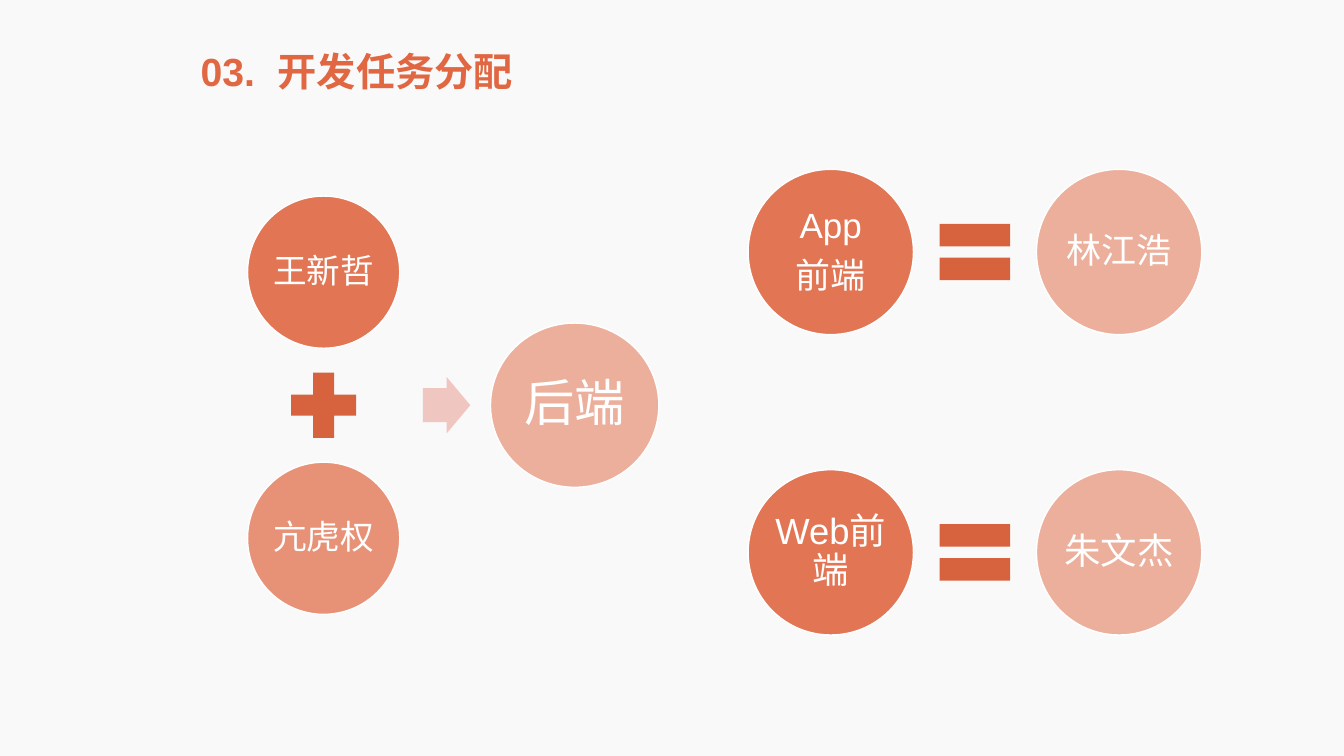
from lxml.etree import SubElement
from pptx import Presentation
from pptx.dml.color import RGBColor
from pptx.enum.shapes import MSO_SHAPE as Shape
from pptx.enum.text import MSO_ANCHOR as Anchor, MSO_AUTO_SIZE as AutoSize, PP_ALIGN as Align
from pptx.oxml.ns import qn
from pptx.util import Inches, Pt

NUMBER, TITLE = "03.", "开发任务分配"
BACKEND_MEMBERS = [("王新哲", 90), ("亢虎权", 70)]
BACKEND = "后端"
FRONTENDS = [("App\n前端", "林江浩", 25), ("Web前端", "朱文杰", 26)]


class Theme:
    font = "Arial"
    background = RGBColor.from_string("F9F9F9")
    accent = RGBColor.from_string("E06741")
    sign = RGBColor.from_string("D6623E")
    arrow = RGBColor.from_string("F0C7C0")
    white = RGBColor.from_string("FFFFFF")
    title_size, member_size, backend_size = 28, 24, 36


SLIDE_WIDTH, SLIDE_HEIGHT = 13.33, 7.5
HEADING_TOP, HEADING_HEIGHT = 0.42, 0.57
MEMBER_X, ARROW_X, BACKEND_X = 3.21, 4.43, 5.7
MIDDLE_Y, MEMBER_PITCH = 4.02, 1.32
FRONTEND_X, FRONTEND_PITCH = 8.24, 1.43
FRONTEND_Y, FRONTEND_ROW = 2.5, 2.98
MEMBER_DIAMETER, FRONTEND_DIAMETER = 1.51, 1.64


def set_all(target, values):
    for name, value in values.items():
        setattr(target, name, value)


def write(frame, text, size, color, bold, align, frame_format):
    set_all(frame, frame_format)
    frame.text = text
    for index, paragraph in enumerate(frame.paragraphs):
        paragraph.alignment = align
        paragraph.space_before = Pt(9 if index else 0)
        set_all(paragraph.font, {"name": Theme.font, "size": Pt(size), "bold": bold})
        paragraph.font.color.rgb = color


def add_centred(slide, kind, x, y, width, height, color):
    shape = slide.shapes.add_shape(kind, Inches(x - width / 2), Inches(y - height / 2),
                                   Inches(width), Inches(height))
    shape.shadow.inherit = False
    shape.fill.solid()
    shape.fill.fore_color.rgb = color
    shape.line.fill.background()
    return shape


def add_circle(slide, text, x, y, width, height, opacity, size):
    circle = add_centred(slide, Shape.OVAL, x, y, width, height, Theme.accent)
    fill_color = circle.fill._xPr.find(qn("a:solidFill"))[0]
    SubElement(fill_color, qn("a:alpha"), val=str(opacity * 1000))
    circle.line.color.rgb = Theme.white
    circle.line.width = Pt(1)
    margins = {f"margin_{side}": Inches(0.02) for side in ("left", "top", "right", "bottom")}
    write(circle.text_frame, text, size, Theme.white, False, Align.CENTER,
          {"word_wrap": True, "vertical_anchor": Anchor.MIDDLE, **margins})
    for paragraph in circle.text_frame.paragraphs:
        paragraph.line_spacing = 0.9


def add_heading(slide):
    number = slide.shapes.add_textbox(0, 0, 0, 0)
    headings = [(slide.shapes.title, TITLE, 2.64, 2.56, Align.CENTER),
                (number, NUMBER, 1.89, 0.75, Align.LEFT)]
    for shape, text, left, width, align in headings:
        set_all(shape, {"left": Inches(left), "top": Inches(HEADING_TOP),
                        "width": Inches(width), "height": Inches(HEADING_HEIGHT)})
        write(shape.text_frame, text, Theme.title_size, Theme.accent, True, align,
              {"word_wrap": False, "auto_size": AutoSize.SHAPE_TO_FIT_TEXT,
               "vertical_anchor": Anchor.TOP})


def add_backend_team(slide):
    for (name, opacity), side in zip(BACKEND_MEMBERS, (-1, 1)):
        add_circle(slide, name, MEMBER_X, MIDDLE_Y + side * MEMBER_PITCH,
                   MEMBER_DIAMETER, MEMBER_DIAMETER, opacity, Theme.member_size)
    add_centred(slide, Shape.MATH_PLUS, MEMBER_X, MIDDLE_Y, 0.88, 0.88, Theme.sign)
    arrow = add_centred(slide, Shape.RIGHT_ARROW, ARROW_X, MIDDLE_Y, 0.47, 0.56, Theme.arrow)
    arrow.adjustments[0] = 0.6
    add_circle(slide, BACKEND, BACKEND_X, MIDDLE_Y, 1.67, 1.63, 50, Theme.backend_size)


def add_frontend_teams(slide):
    for row, (task, name, size) in enumerate(FRONTENDS):
        y = FRONTEND_Y + row * FRONTEND_ROW
        for column, text, opacity in ((0, task, 90), (2, name, 50)):
            add_circle(slide, text, FRONTEND_X + column * FRONTEND_PITCH, y,
                       FRONTEND_DIAMETER, FRONTEND_DIAMETER, opacity, size)
        add_centred(slide, Shape.MATH_EQUAL, FRONTEND_X + FRONTEND_PITCH, y,
                    0.95, 0.95, Theme.sign)


def main():
    presentation = Presentation()
    set_all(presentation, {"slide_width": Inches(SLIDE_WIDTH),
                           "slide_height": Inches(SLIDE_HEIGHT)})
    slide = presentation.slides.add_slide(presentation.slide_layouts.get_by_name("Title Only"))
    slide.background.fill.solid()
    slide.background.fill.fore_color.rgb = Theme.background
    add_heading(slide)
    add_backend_team(slide)
    add_frontend_teams(slide)
    presentation.save("out.pptx")


if __name__ == "__main__":
    main()
